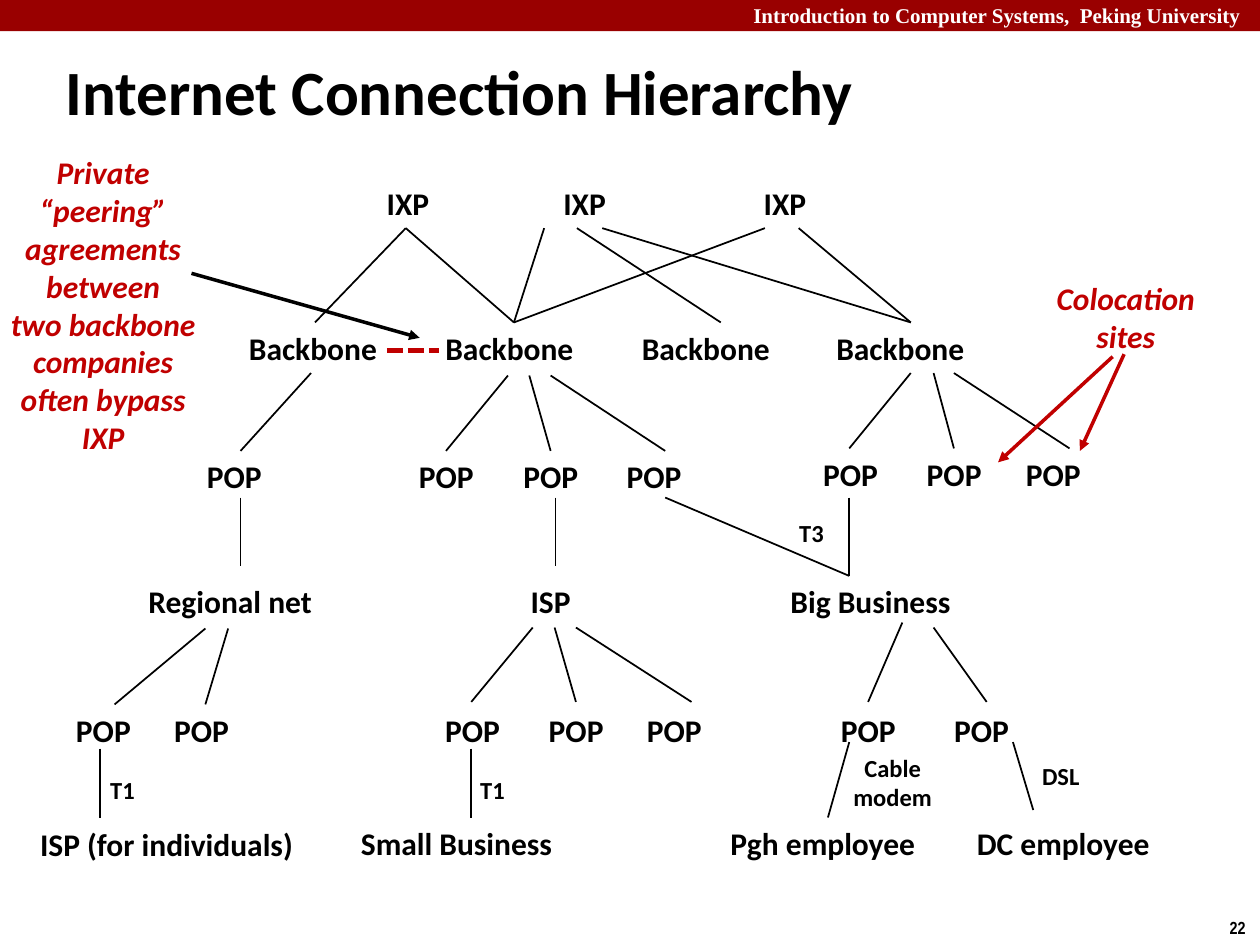
from lxml.etree import SubElement
from pptx import Presentation
from pptx.dml.color import RGBColor
from pptx.enum.dml import MSO_LINE
from pptx.enum.shapes import MSO_CONNECTOR, MSO_SHAPE
from pptx.enum.text import MSO_ANCHOR, PP_ALIGN
from pptx.oxml.ns import qn
from pptx.util import Cm, Pt

BLACK = RGBColor(0x00, 0x00, 0x00)
WHITE = RGBColor(0xFF, 0xFF, 0xFF)
RED = RGBColor(0xC0, 0x00, 0x00)
BANNER_RED = RGBColor(0x99, 0x00, 0x00)

presentation = Presentation()
presentation.slide_width = Cm(25.4)
presentation.slide_height = Cm(19.05)
slide = presentation.slides.add_slide(presentation.slide_layouts[6])


def add_text(text, left, top, width, height, size=18, color=BLACK, font="Calibri",
             align=PP_ALIGN.CENTER, anchor=MSO_ANCHOR.TOP, italic=None, wrap=False):
    box = slide.shapes.add_textbox(Cm(left), Cm(top), Cm(width), Cm(height))
    text_frame = box.text_frame
    text_frame.word_wrap = wrap
    text_frame.vertical_anchor = anchor
    text_frame.text = text
    for paragraph in text_frame.paragraphs:
        paragraph.alignment = align
        for run in paragraph.runs:
            run.font.name = font
            run.font.size = Pt(size)
            run.font.bold = True
            run.font.italic = italic
            run.font.color.rgb = color


def add_line(start_x, start_y, end_x, end_y, color=BLACK, width=1, arrow=False):
    line = slide.shapes.add_connector(
        MSO_CONNECTOR.STRAIGHT, Cm(start_x), Cm(start_y), Cm(end_x), Cm(end_y))
    line.line.color.rgb = color
    line.line.width = Pt(width)
    if arrow:
        SubElement(line.line._get_or_add_ln(), qn("a:tailEnd"), type="triangle")
    SubElement(line._element.spPr, qn("a:effectLst"))
    return line


# Banner, title and page number
banner = slide.shapes.add_shape(MSO_SHAPE.RECTANGLE, 0, 0, Cm(25.4), Cm(0.63))
banner.shadow.inherit = False
banner.fill.solid()
banner.fill.fore_color.rgb = BANNER_RED
banner.line.fill.background()
add_text("Introduction to Computer Systems,  Peking University ", 12.07, -0.08, 13.3, 0.76,
         size=12, color=WHITE, font="Times New Roman", align=PP_ALIGN.RIGHT, wrap=True)
add_text("22", 24.54, 18.36, 0.86, 0.69, size=10, font="Arial Narrow", align=PP_ALIGN.LEFT)
add_text("Internet Connection Hierarchy", 1.07, 0.94, 20.95, 1.6, size=36,
         align=PP_ALIGN.LEFT, wrap=True)

# Nodes: name, width, top, left edges
node_rows = [
    ("IXP", 1.37, 3.58, [7.54, 11.1, 15.14]),
    ("Backbone", 3.12, 6.5, [4.75, 8.71, 12.67, 16.59]),
    ("POP", 1.63, 9.09, [3.91, 8.18, 10.29, 12.37]),
    ("POP", 1.63, 9.04, [16.33, 18.42, 20.42]),
    ("Regional net", 3.84, 11.61, [2.72]),
    ("ISP", 1.32, 11.61, [10.44]),
    ("Big Business", 3.76, 11.61, [15.67]),
    ("POP", 1.63, 14.2, [1.27, 3.25, 8.71, 10.8, 12.78, 16.69, 18.97]),
    ("ISP (for individuals)", 5.66, 16.51, [0.53]),
    ("Small Business", 4.39, 16.48, [7.01]),
    ("Pgh employee", 4.27, 16.48, [14.45]),
    ("DC employee", 4.01, 16.48, [19.43]),
]
for name, width, top, lefts in node_rows:
    for left in lefts:
        add_text(name, left, top, width, 1.02, anchor=MSO_ANCHOR.MIDDLE)

# Links between levels: upper y, lower y, (upper x, lower x) pairs
link_levels = [
    (4.6, 6.5, [(8.18, 6.35), (8.18, 10.36), (10.97, 10.36), (15.42, 10.36),
                (11.63, 14.53), (12.14, 18.36), (16.1, 18.36)]),
    (7.52, 9.09, [(6.27, 4.85)]),
    (7.57, 9.09, [(10.24, 8.99), (10.67, 11.1), (11.1, 13.41)]),
    (7.52, 9.04, [(18.36, 17.12), (18.82, 19.23), (19.23, 21.56)]),
    (10.03, 11.4, [(4.85, 4.85), (11.2, 11.2)]),
    (10.03, 11.61, [(13.41, 17.12), (17.12, 17.12)]),
    (12.67, 14.2, [(4.14, 2.31), (4.6, 4.14)]),
    (12.65, 14.15, [(10.74, 9.5), (11.18, 11.61), (11.61, 13.94), (18.82, 19.89)]),
    (12.55, 14.15, [(18.19, 17.5)]),
    (15.09, 16.48, [(2.01, 2.01), (9.5, 9.5)]),
    (14.96, 16.48, [(17.12, 16.69)]),
    (14.96, 16.33, [(20.42, 20.83)]),
]
for upper_y, lower_y, links in link_levels:
    for upper_x, lower_x in links:
        add_line(upper_x, upper_y, lower_x, lower_y)

# Link types
for name, left, top, width, height in [
    ("T3", 15.85, 10.31, 1.02, 0.86),
    ("T1", 1.96, 15.49, 1.02, 0.86),
    ("T1", 9.42, 15.49, 1.02, 0.86),
    ("Cable\nmodem", 16.94, 15.04, 2.11, 1.45),
    ("DSL", 20.75, 15.21, 1.27, 0.86),
]:
    add_text(name, left, top, width, height, size=14, anchor=MSO_ANCHOR.MIDDLE)

# Annotations with their arrows
add_text("Colocation\nsites", 21.03, 5.51, 3.33, 1.8, color=RED, italic=True)
add_text("Private\n“peering”\nagreements\nbetween\ntwo backbone\ncompanies\noften bypass\nIXP",
         -0.13, 2.97, 4.42, 6.4, color=RED, italic=True)
add_line(22.66, 7.14, 21.77, 9.09, RED, 2, arrow=True)
add_line(22.43, 7.19, 20.12, 9.32, RED, 2, arrow=True)
add_line(3.86, 5.51, 8.46, 6.81, BLACK, 2, arrow=True)
peering = add_line(7.8, 7.06, 8.84, 7.06, RED, 3)
peering.line.dash_style = MSO_LINE.SQUARE_DOT

presentation.save("out.pptx")
